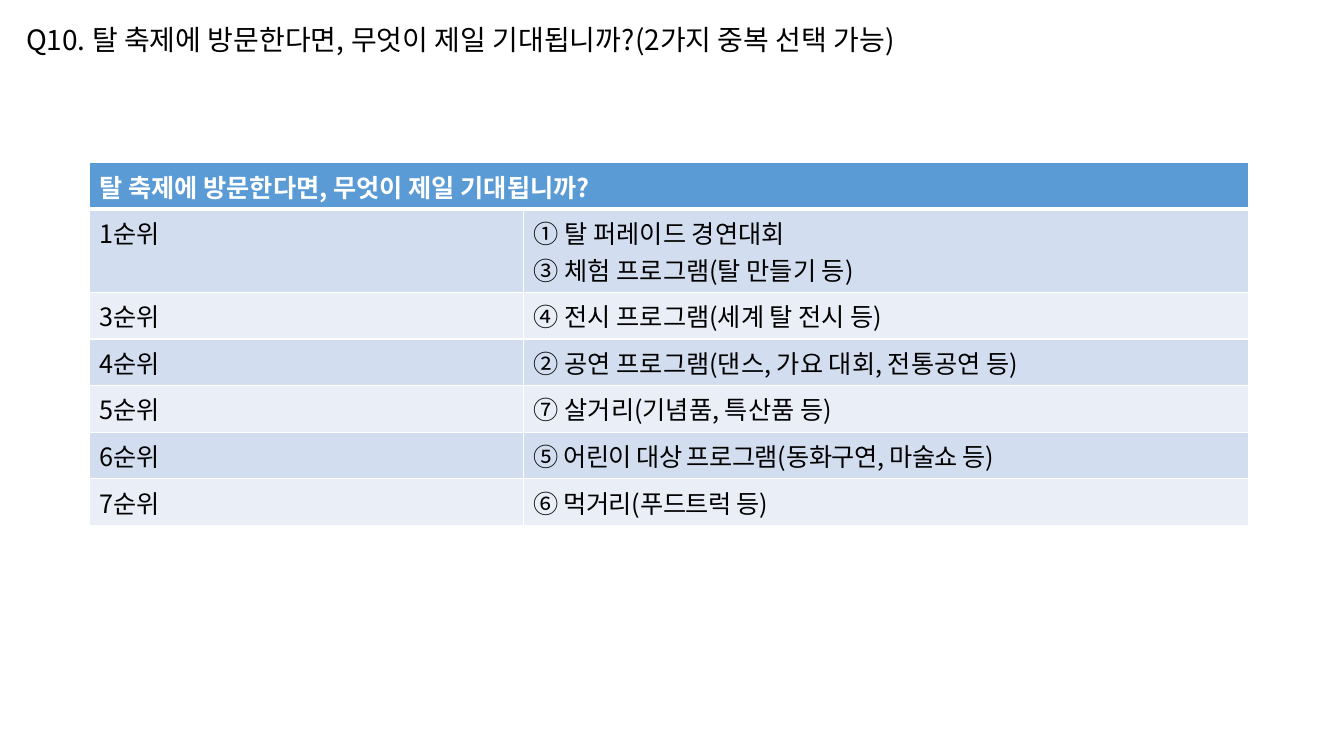
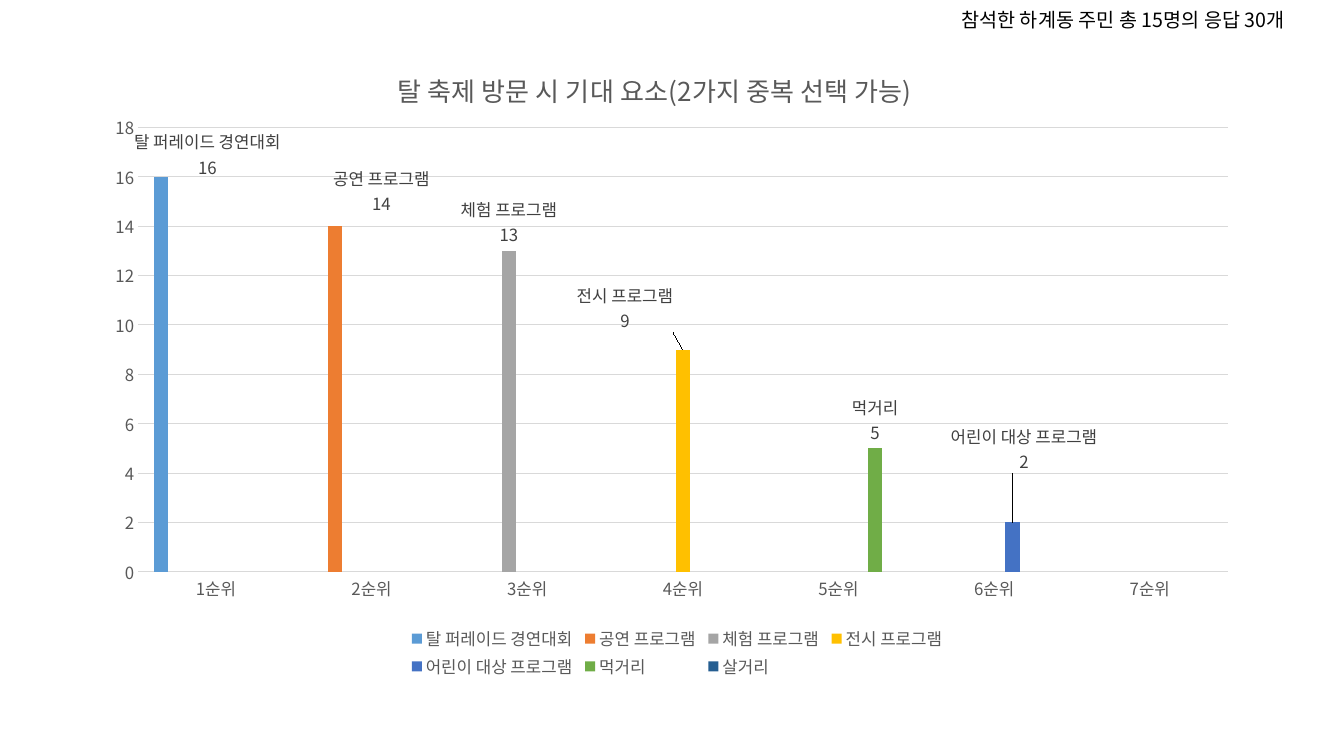
from copy import deepcopy

from lxml import etree
from pptx import Presentation
from pptx import util as u
from pptx.chart import data as chart_data
from pptx.dml import color
from pptx.enum import chart as charts, text
from pptx.oxml import ns

COLORS = {
    "black": "000000", "white": "FFFFFF", "header": "5B9BD5",
    "odd": "D2DEEF", "even": "EAEFF7",
    "grid": "D9D9D9", "axis": "595959", "label": "404040",
    "blue": "5B9BD5", "orange": "ED7D31", "gray": "A5A5A5",
    "yellow": "FFC000", "indigo": "4472C4", "green": "70AD47", "navy": "255E91",
}

RANKED_PROGRAMS = [
    ("1순위", "① 탈 퍼레이드 경연대회\n③ 체험 프로그램(탈 만들기 등)", 0),
    ("3순위", "④ 전시 프로그램(세계 탈 전시 등)", 0),
    ("4순위", "② 공연 프로그램(댄스, 가요 대회, 전통공연 등)", 0),
    ("5순위", "⑦ 살거리(기념품, 특산품 등)", 0),
    ("6순위", "⑤ 어린이 대상 프로그램(동화구연, 마술쇼 등)", -40),
    ("7순위", "⑥ 먹거리(푸드트럭 등)", -40),
]

PROGRAM_VOTES = [
    ("탈 퍼레이드 경연대회", 1, 16, "blue", (0.04, 0.01)),
    ("공연 프로그램", 2, 14, "orange", (0.04, -0.01)),
    ("체험 프로그램", 3, 13, "gray", None),
    ("전시 프로그램", 4, 9, "yellow", (-0.05, -0.02)),
    ("어린이 대상 프로그램", 6, 2, "indigo", (0.01, -0.07)),
    ("먹거리", 5, 5, "green", None),
    ("살거리", 7, None, "navy", None),
]


def element(tag, content=None, **attributes):
    node = etree.Element(ns.qn(tag), attributes)
    node.text = content
    return node


def manual_layout(inner=False, edge=True, **shares):
    layout = element("c:layout")
    manual = etree.SubElement(layout, ns.qn("c:manualLayout"))
    if inner:
        manual.append(element("c:layoutTarget", val="inner"))
    if edge:
        manual.append(element("c:xMode", val="edge"))
        manual.append(element("c:yMode", val="edge"))
    for name, share in shares.items():
        manual.append(element(f"c:{name}", val=str(share)))
    return layout


def replace_layout(parent, index, **shares):
    for old in parent.findall(ns.qn("c:layout")):
        parent.remove(old)
    parent.insert(index, manual_layout(**shares))


class Deck:
    CELL = u.Inches(7.5) // 36
    COLUMNS, ROWS = 64, 36
    FONT = "Noto Sans CJK KR"

    def __init__(self):
        self.presentation = Presentation()
        self.presentation.slide_width = self.CELL * self.COLUMNS
        self.presentation.slide_height = self.CELL * self.ROWS
        self.slide = None

    def add_slide(self):
        self.slide = self.presentation.slides.add_slide(self.presentation.slide_layouts[6])

    def grid(self, *lengths):
        return [u.Emu(round(length * self.CELL)) for length in lengths]

    def rgb(self, name):
        return color.RGBColor.from_string(COLORS[name])

    def style_font(self, font, size, color_name, bold=False):
        for key, value in {"size": u.Pt(size), "bold": bold, "name": self.FONT}.items():
            setattr(font, key, value)
        font.color.rgb = self.rgb(color_name)
        latin = font._element.find(ns.qn("a:latin"))
        latin.addnext(element("a:ea", typeface=self.FONT))

    def set_text(self, frame, content, size, color_name="black", bold=False, spacing=0):
        frame.text = content
        for paragraph in frame.paragraphs:
            for run in paragraph.runs:
                self.style_font(run.font, size, color_name, bold)
                if spacing:
                    run.font._element.set("spc", str(spacing))

    def text_line(self, content, place, size):
        frame = self.slide.shapes.add_textbox(*self.grid(*place)).text_frame
        self.set_text(frame, content, size)
        frame.word_wrap = False
        frame.auto_size = text.MSO_AUTO_SIZE.SHAPE_TO_FIT_TEXT

    def fill_cell(self, cell, fill, bottom=1):
        cell.fill.solid()
        cell.fill.fore_color.rgb = self.rgb(fill)
        properties = cell._tc.get_or_add_tcPr()
        for index, side in enumerate("LRTB"):
            width = u.Pt(bottom if side == "B" else 1)
            border = element(f"a:ln{side}", w=str(width))
            solid = etree.SubElement(border, ns.qn("a:solidFill"))
            solid.append(element("a:srgbClr", val=COLORS["white"]))
            properties.insert(index, border)

    def ranking_table(self, heading, rows, left, top, widths, row_height):
        count = len(rows) + 1
        place = self.grid(left, top, sum(widths), row_height * count)
        table = self.slide.shapes.add_table(count, len(widths), *place).table
        table.first_row = table.horz_banding = False
        for column, width in zip(table.columns, self.grid(*widths)):
            column.width = width
        for cell in table.rows[0].cells:
            self.fill_cell(cell, "header", bottom=3)
        table.cell(0, 0).merge(table.cell(0, len(widths) - 1))
        self.set_text(table.cell(0, 0).text_frame, heading, 18, "white", bold=True)
        for number, (rank, program, spacing) in enumerate(rows, 1):
            rank_cell, program_cell = table.rows[number].cells
            self.set_text(rank_cell.text_frame, rank, 18)
            self.set_text(program_cell.text_frame, program, 18, spacing=spacing)
            for cell in (rank_cell, program_cell):
                self.fill_cell(cell, "odd" if number % 2 else "even")

    def label_series(self, series, rank, offset):
        labels = series.data_labels
        formats = {
            "show_value": True, "show_series_name": True,
            "position": charts.XL_LABEL_POSITION.OUTSIDE_END,
        }
        for key, value in formats.items():
            setattr(labels, key, value)
        self.style_font(labels.font, 12, "label")
        root = labels._element
        root.find(ns.qn("c:showBubbleSize")).addnext(element("c:separator", "\n"))
        if offset:
            point = element("c:dLbl")
            point.append(element("c:idx", val=str(rank - 1)))
            point.append(manual_layout(edge=False, x=offset[0], y=offset[1]))
            for child in root:
                if child.tag != ns.qn("c:showLeaderLines"):
                    point.append(deepcopy(child))
            root.insert(0, point)

    def vote_chart(self, title, votes, place):
        ranks = range(1, len(votes) + 1)
        values = chart_data.CategoryChartData()
        values.categories = [f"{rank}순위" for rank in ranks]
        for name, position, count, _, _ in votes:
            values.add_series(name, [count if rank == position else None for rank in ranks])
        chart = self.slide.shapes.add_chart(
            charts.XL_CHART_TYPE.COLUMN_CLUSTERED, *self.grid(*place), values).chart
        self.style_font(chart.font, 10, "black")

        self.set_text(chart.chart_title.text_frame, title, 18.6, "axis")
        replace_layout(chart.chart_title._element, 1, x=0.26, y=0.04)

        plot = chart.plots[0]
        for key, value in {"gap_width": 219, "overlap": -27, "vary_by_categories": False}.items():
            setattr(plot, key, value)
        for series, (_, rank, _, color_name, offset) in zip(plot.series, votes):
            series.format.fill.solid()
            series.format.fill.fore_color.rgb = self.rgb(color_name)
            self.label_series(series, rank, offset)
        replace_layout(plot._element.getparent(), 0, inner=True, x=0.04, y=0.14, w=0.94, h=0.69)

        self.style_axes(chart)
        chart.has_legend = True
        chart.legend.position = charts.XL_LEGEND_POSITION.BOTTOM
        chart.legend.include_in_layout = False
        self.style_font(chart.legend.font, 12, "axis")
        replace_layout(chart.legend._element, 1, x=0.27, y=0.91, w=0.47, h=0.09)

    def style_axes(self, chart):
        for axis in (chart.category_axis, chart.value_axis):
            axis.major_tick_mark = axis.minor_tick_mark = charts.XL_TICK_MARK.NONE
            self.style_font(axis.tick_labels.font, 12, "axis")
        scale = {"minimum_scale": 0, "maximum_scale": 18, "major_unit": 2,
                 "has_major_gridlines": True}
        for key, value in scale.items():
            setattr(chart.value_axis, key, value)
        chart.value_axis.format.line.fill.background()
        for line in (chart.category_axis.format.line,
                     chart.value_axis.major_gridlines.format.line):
            line.color.rgb = self.rgb("grid")
            line.width = u.Pt(0.75)


def main():
    deck = Deck()
    question = "탈 축제에 방문한다면, 무엇이 제일 기대됩니까?"

    deck.add_slide()
    deck.ranking_table(question, RANKED_PROGRAMS, 4.25, 7.75, (20.69, 34.51), 1.97)
    deck.text_line(f"Q10. {question}(2가지 중복 선택 가능)", (0.77, 0.82, 46.85, 2.11), 20)

    deck.add_slide()
    deck.vote_chart("탈 축제 방문 시 기대 요소(2가지 중복 선택 가능)", PROGRAM_VOTES,
                    (4.37, 1.78, 55.2, 30.67))
    deck.text_line("참석한 하계동 주민 총 15명의 응답 30개", (45.31, 0.14, 18.53, 1.63), 14)

    deck.presentation.save("out.pptx")


if __name__ == "__main__":
    main()
